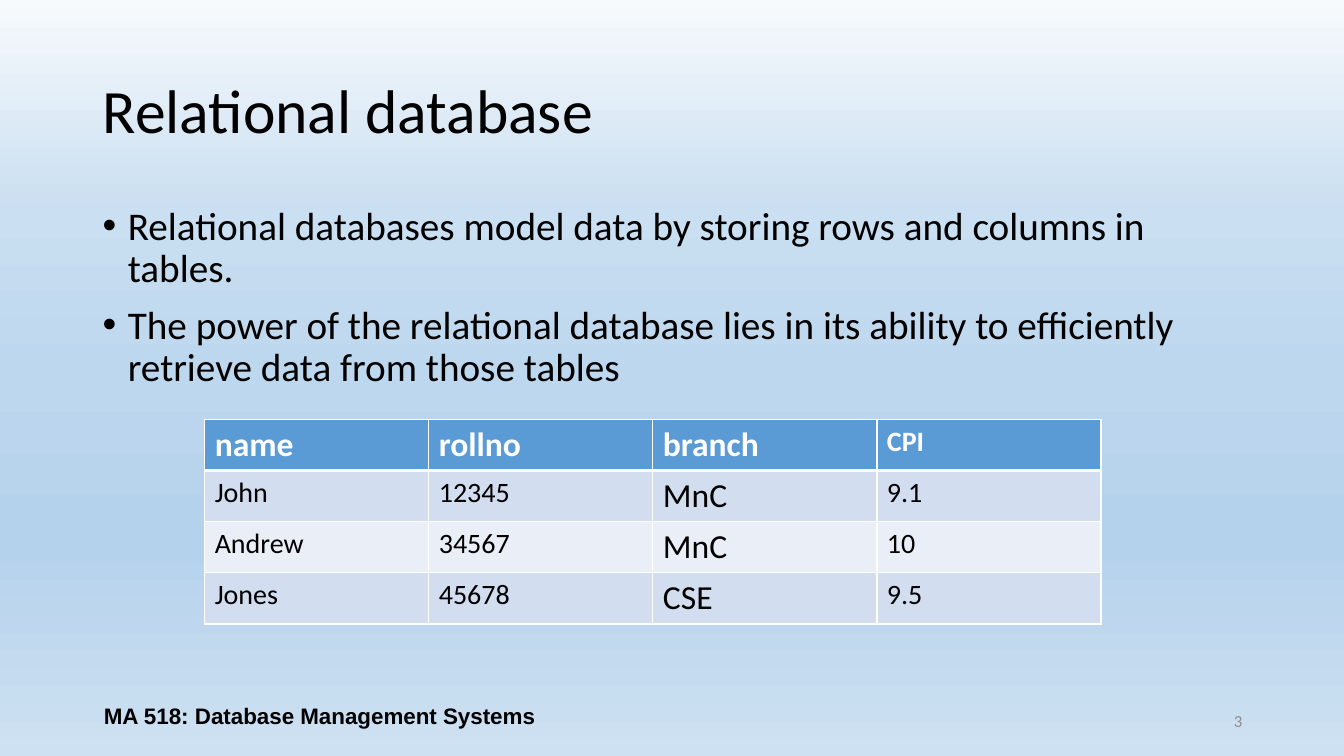
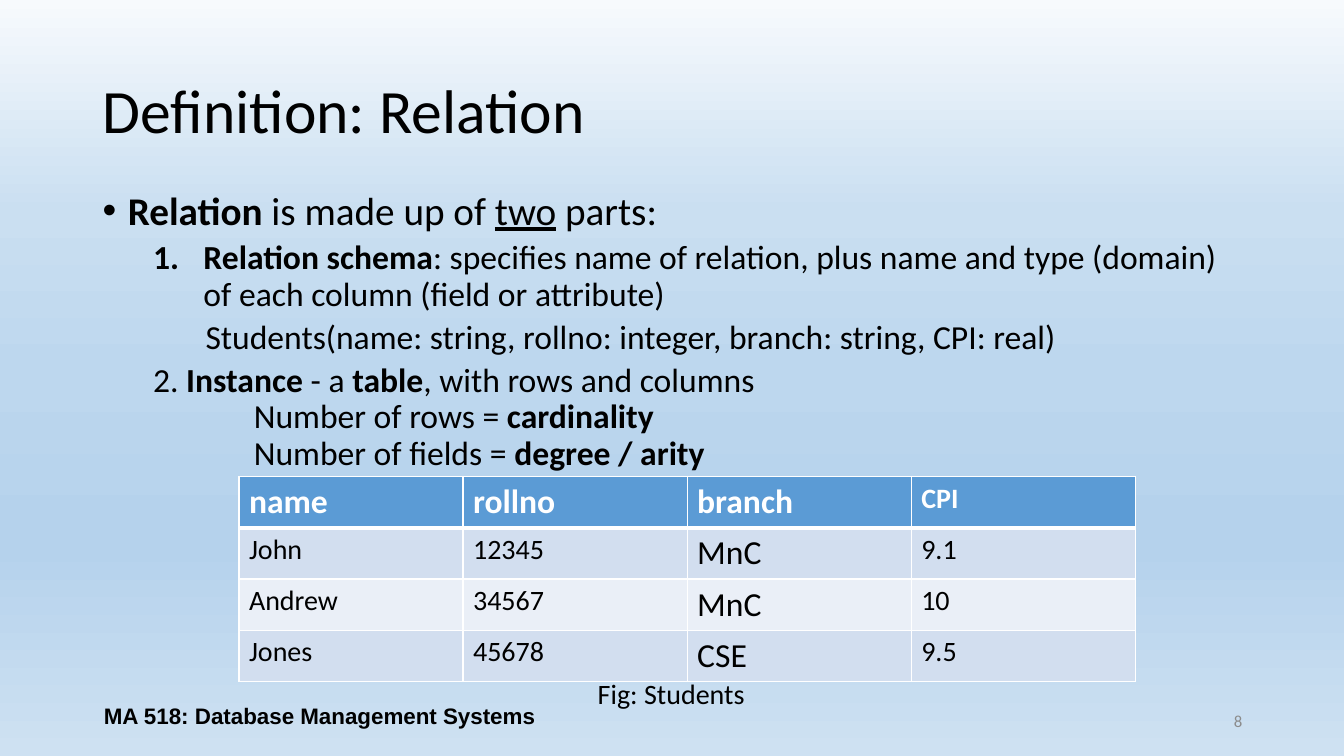
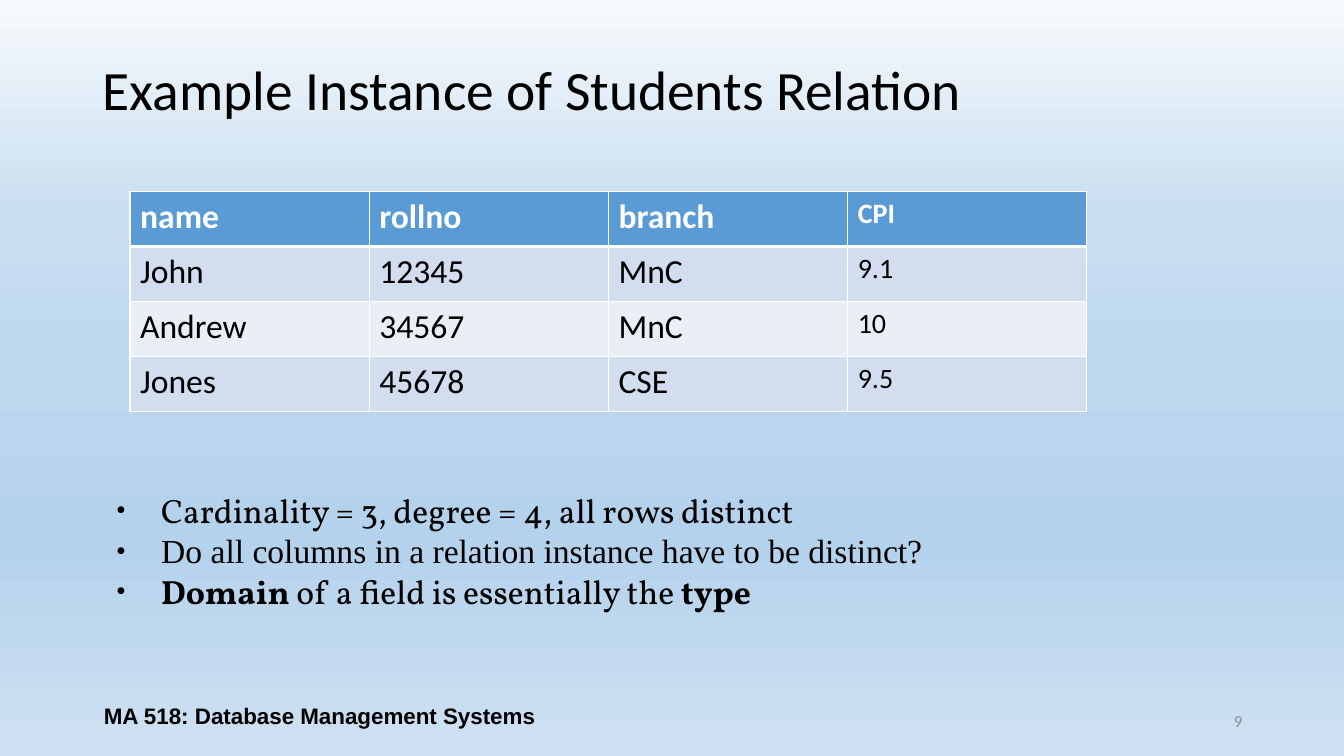
from dataclasses import dataclass

from pptx import Presentation
from pptx.dml.color import RGBColor
from pptx.enum.text import MSO_ANCHOR, PP_ALIGN
from pptx.oxml.ns import qn
from pptx.oxml.xmlchemy import OxmlElement
from pptx.slide import Slide
from pptx.table import _Cell
from pptx.text.text import _Paragraph
from pptx.util import Inches, Pt

BLACK, WHITE, GREY = "000000", "FFFFFF", "8C8C8C"
HEADER_FILL, ODD_FILL, EVEN_FILL = "5B9BD5", "D2DEEF", "EAEFF7"
SKY = [(0, "F7FAFD"), (28, "CADFF1"), (49, "BDD7EE"),
       (71, "B5D2EC"), (72, "B5D2EC"), (100, "CEE1F2")]
BODY_FONT, COURSE_FONT = "Calibri", "Arial"
COURSE = "MA 518: Database Management Systems"
STUDENTS = [
    ["name", "rollno", "branch", "CPI"],
    ["John", "12345", "MnC", "9.1"],
    ["Andrew", "34567", "MnC", "10"],
    ["Jones", "45678", "CSE", "9.5"],
]
HEADER_SIZES = (24, 24, 24, 20)


@dataclass
class Box:
    left: float
    top: float
    width: float
    height: float


@dataclass
class Words:
    text: str
    bold: bool = False
    underline: bool = False


@dataclass
class Line:
    words: list[Words]
    size: float = 24
    font: str = BODY_FONT
    color: str = BLACK
    margin: float = 0
    hang: float = 0
    bullet: str = ""
    bullet_percent: int = 100
    before: float = 0
    spacing: float = 1.0
    align: PP_ALIGN = PP_ALIGN.LEFT


TITLE_BOX = Box(0.92, 0.4, 11.5, 1.45)


def rgb(color: str) -> RGBColor:
    return RGBColor.from_string(color)


def add_child(parent, tag: str, **attributes: str):
    child = OxmlElement(tag)
    for name, value in attributes.items():
        child.set(name, value)
    parent.append(child)
    return child


def paint_background(master) -> None:
    fill = master.background.fill
    fill.gradient()
    fill.gradient_angle = 270
    stops = next(master.element.iter(qn("a:gsLst")))
    for stop in list(stops):
        stops.remove(stop)
    for percent, color in SKY:
        stop = add_child(stops, "a:gs", pos=str(percent * 1000))
        add_child(stop, "a:srgbClr", val=color)


def write_line(paragraph: _Paragraph, line: Line) -> None:
    properties = paragraph._p.get_or_add_pPr()
    properties.set("marL", str(Inches(line.margin)))
    properties.set("indent", str(Inches(-line.hang)))
    if line.bullet == "1.":
        add_child(properties, "a:buAutoNum", type="arabicPeriod")
    elif line.bullet:
        add_child(properties, "a:buSzPct", val=str(line.bullet_percent * 1000))
        add_child(properties, "a:buFont", typeface="Arial")
        add_child(properties, "a:buChar", char=line.bullet)
    paragraph.alignment = line.align
    paragraph.line_spacing = line.spacing
    paragraph.space_before = Pt(line.before)
    for words in line.words:
        run = paragraph.add_run()
        run.text = words.text
        run.font.name = line.font
        run.font.size = Pt(line.size)
        run.font.bold = words.bold
        run.font.underline = words.underline
        run.font.color.rgb = rgb(line.color)


def add_text(slide: Slide, box: Box, lines: list[Line],
             anchor: MSO_ANCHOR = MSO_ANCHOR.TOP, wrap: bool = True) -> None:
    frame = slide.shapes.add_textbox(Inches(box.left), Inches(box.top),
                                     Inches(box.width), Inches(box.height)).text_frame
    frame.word_wrap = wrap
    frame.vertical_anchor = anchor
    for index, line in enumerate(lines):
        write_line(frame.add_paragraph() if index else frame.paragraphs[0], line)


def set_border(cell: _Cell, side: str, width: float) -> None:
    border = add_child(cell._tc.get_or_add_tcPr(), f"a:ln{side}", w=str(Pt(width)))
    add_child(add_child(border, "a:solidFill"), "a:srgbClr", val=WHITE)


def add_students(slide: Slide, box: Box, body_sizes: tuple[int, ...]) -> None:
    table = slide.shapes.add_table(len(STUDENTS), len(STUDENTS[0]),
                                   Inches(box.left), Inches(box.top),
                                   Inches(box.width), Inches(box.height)).table
    for r, record in enumerate(STUDENTS):
        header = r == 0
        fill = HEADER_FILL if header else ODD_FILL if r % 2 else EVEN_FILL
        sizes = HEADER_SIZES if header else body_sizes
        for c, value in enumerate(record):
            cell = table.cell(r, c)
            for side in "LRTB":
                under_header = (r, side) in ((0, "B"), (1, "T"))
                set_border(cell, side, 3 if under_header else 1)
            cell.fill.solid()
            cell.fill.fore_color.rgb = rgb(fill)
            write_line(cell.text_frame.paragraphs[0],
                       Line([Words(value, bold=header)], sizes[c],
                            color=WHITE if header else BLACK))


def start_slide(prs, title: str, number: int, box: Box = TITLE_BOX,
                size: float = 44) -> Slide:
    slide = prs.slides.add_slide(prs.slide_layouts[6])
    middle = MSO_ANCHOR.MIDDLE
    add_text(slide, box, [Line([Words(title)], size, spacing=0.9)], middle)
    add_text(slide, Box(9.42, 6.95, 3, 0.4),
             [Line([Words(str(number))], 12, color=GREY, align=PP_ALIGN.RIGHT)], middle)
    add_text(slide, Box(0.92, 6.9, 4.5, 0.4),
             [Line([Words(COURSE, bold=True)], 16, COURSE_FONT,
                   align=PP_ALIGN.CENTER)], middle)
    return slide


def point(*words: Words, before: float = 10) -> Line:
    return Line(list(words), 28, margin=0.25, hang=0.25, bullet="•",
                before=before, spacing=0.9)


def detail(*words: Words, margin: float = 0.5, hang: float = 0,
           bullet: str = "", before: float = 5) -> Line:
    return Line(list(words), margin=margin, hang=hang, bullet=bullet,
                before=before, spacing=0.9)


def remark(*words: Words, font: str = "Vollkorn") -> Line:
    return Line(list(words), font=font, margin=0.44, hang=0.44,
                bullet="•", bullet_percent=75)


def build_database(prs) -> None:
    slide = start_slide(prs, "Relational database", 3)
    add_text(slide, Box(0.92, 2, 11.5, 4.76), [
        point(Words("Relational databases model data by storing rows and columns in tables."),
              before=0),
        point(Words("The power of the relational database lies in its ability to "
                    "efficiently retrieve data from those tables")),
    ])
    add_students(slide, Box(2.03, 4.16, 8.89, 2.03), (20, 20, 24, 20))


def build_definition(prs) -> None:
    slide = start_slide(prs, "Definition: Relation", 8)
    add_text(slide, Box(0.92, 1.85, 11.5, 4.76), [
        point(Words("Relation", bold=True), Words(" is made up of "),
              Words("two", underline=True), Words(" parts:"), before=0),
        detail(Words("Relation schema", bold=True),
               Words(": specifies name of relation, plus name and type (domain) "
                     "of each column (field or attribute)"),
               margin=1, hang=0.5, bullet="1."),
        detail(Words("Students(name: string, rollno: integer, branch: string, CPI: real)"),
               margin=1.02),
        detail(Words("2. "), Words("Instance", bold=True), Words(" - a "),
               Words("table", bold=True), Words(", with rows and columns")),
        detail(Words("Number of rows = "), Words("cardinality", bold=True),
               margin=1.5, before=0),
        detail(Words("Number of fields = "), Words("degree / arity", bold=True),
               margin=1.5, before=0),
    ])
    add_students(slide, Box(2.37, 4.73, 8.89, 2.03), (20, 20, 24, 20))
    add_text(slide, Box(5.83, 6.66, 1.68, 0.44),
             [Line([Words("Fig: Students")], 20)], wrap=False)


def build_instance(prs) -> None:
    slide = start_slide(prs, "Example Instance of Students Relation", 9,
                        Box(0.92, 0.4, 9.37, 1.03), 39.6)
    add_text(slide, Box(1.06, 4.81, 9.94, 1.71), [
        remark(Words("Cardinality = 3, degree = 4, all rows distinct")),
        remark(Words("Do all columns in a relation instance have to be distinct?"),
               font="Times New Roman"),
        remark(Words("Domain", bold=True), Words(" of a field is essentially the "),
               Words("type", bold=True)),
    ])
    add_students(slide, Box(1.29, 1.9, 9.49, 2.18), HEADER_SIZES)


def main() -> None:
    prs = Presentation()
    prs.slide_width, prs.slide_height = Inches(13.33), Inches(7.5)
    paint_background(prs.slide_master)
    for build in (build_database, build_definition, build_instance):
        build(prs)
    prs.save("out.pptx")


if __name__ == "__main__":
    main()
